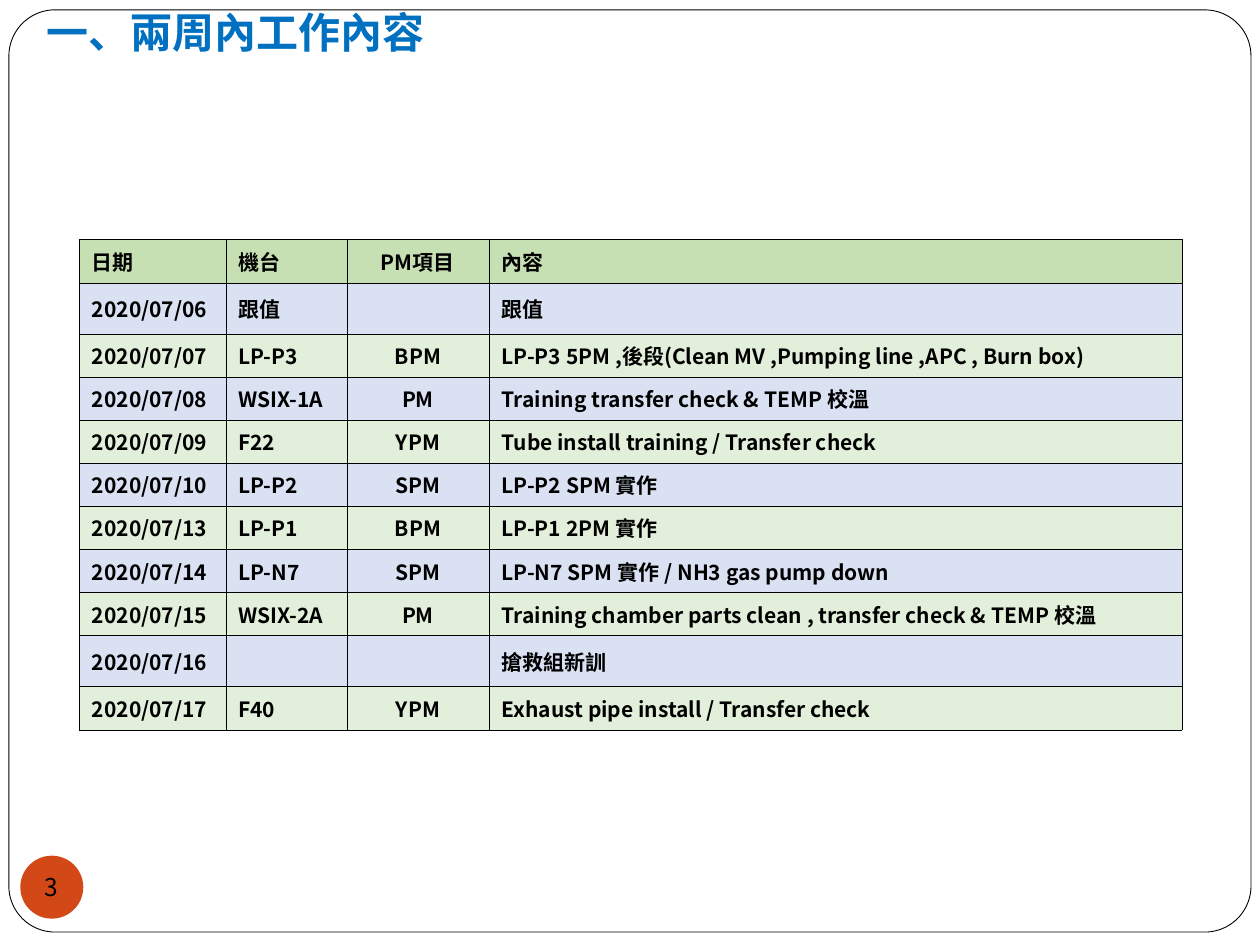
from typing import NamedTuple

from lxml.etree import SubElement
from pptx import Presentation
from pptx.dml.color import RGBColor
from pptx.enum.shapes import MSO_SHAPE
from pptx.enum.text import MSO_ANCHOR, PP_ALIGN
from pptx.oxml.ns import qn
from pptx.util import Cm, Pt

FONT = "Noto Sans CJK SC"
COLORS = {
    "ink": "000000",
    "paper": "FFFFFF",
    "title": "0070C0",
    "badge": "D34817",
    "header": "C6E0B4",
    "blue_row": "D9E1F2",
    "green_row": "E2EFDA",
}
COLUMN_WIDTHS = (2.95, 2.44, 2.87, 13.97)
ROW_HEIGHT = 0.86
CENTERED_COLUMN = 2


class WorkDay(NamedTuple):
    date: str
    machine: str
    maintenance: str
    content: str


class TextStyle(NamedTuple):
    size: int
    color: str = "ink"
    bold: bool = False


TITLE = TextStyle(24, "title", True)
CELL = TextStyle(12, bold=True)
NUMBER = TextStyle(14)

HEADER = WorkDay("日期", "機台", "PM項目", "內容")
WORK_DAYS = [
    WorkDay("2020/07/06", "跟值", "", "跟值"),
    WorkDay("2020/07/07", "LP-P3", "BPM", "LP-P3 5PM ,後段(Clean MV ,Pumping line ,APC , Burn box)"),
    WorkDay("2020/07/08", "WSIX-1A", "PM", "Training transfer check & TEMP 校溫"),
    WorkDay("2020/07/09", "F22", "YPM", "Tube install training / Transfer check"),
    WorkDay("2020/07/10", "LP-P2", "SPM", "LP-P2 SPM 實作"),
    WorkDay("2020/07/13", "LP-P1", "BPM", "LP-P1 2PM 實作"),
    WorkDay("2020/07/14", "LP-N7", "SPM", "LP-N7 SPM 實作 / NH3 gas pump down"),
    WorkDay("2020/07/15", "WSIX-2A", "PM", "Training chamber parts clean , transfer check & TEMP 校溫"),
    WorkDay("2020/07/16", "", "", "搶救組新訓"),
    WorkDay("2020/07/17", "F40", "YPM", "Exhaust pipe install / Transfer check"),
]


def rgb(name: str) -> RGBColor:
    return RGBColor.from_string(COLORS[name])


def write(paragraph, text: str, style: TextStyle, align=PP_ALIGN.LEFT) -> None:
    paragraph.alignment = align
    span = paragraph.add_run()
    span.text = text
    font_values = {"name": FONT, "size": Pt(style.size), "bold": style.bold}
    for attribute, value in font_values.items():
        setattr(span.font, attribute, value)
    span.font.color.rgb = rgb(style.color)
    SubElement(span.font._element, qn("a:ea"), typeface=FONT)


def add_filled_shape(page, kind, left: float, top: float, width: float, height: float, fill: str):
    shape = page.shapes.add_shape(kind, Cm(left), Cm(top), Cm(width), Cm(height))
    shape.shadow.inherit = False
    shape.fill.solid()
    shape.fill.fore_color.rgb = rgb(fill)
    shape.line.fill.background()
    return shape


def add_frame(page) -> None:
    frame = add_filled_shape(page, MSO_SHAPE.ROUNDED_RECTANGLE, 0.18, 0.2, 25.04, 18.59, "paper")
    frame.adjustments[0] = 0.05
    frame.line.color.rgb = rgb("ink")
    frame.line.width = Pt(0.5)


def add_page_number(page, number: str) -> None:
    badge = add_filled_shape(page, MSO_SHAPE.OVAL, 0.41, 17.25, 1.27, 1.27, "badge")
    frame_values = {
        "margin_left": 0,
        "margin_right": 0,
        "margin_top": 0,
        "margin_bottom": 0,
        "word_wrap": False,
        "vertical_anchor": MSO_ANCHOR.MIDDLE,
    }
    for attribute, value in frame_values.items():
        setattr(badge.text_frame, attribute, value)
    write(badge.text_frame.paragraphs[0], number, NUMBER, PP_ALIGN.CENTER)


def add_title(page, text: str) -> None:
    box = page.shapes.add_textbox(Cm(0.69), Cm(0), Cm(8.41), Cm(1.27))
    box.text_frame.word_wrap = True
    write(box.text_frame.paragraphs[0], text, TITLE)


def add_borders(cell) -> None:
    properties = cell._tc.get_or_add_tcPr()
    for side in ("lnL", "lnR", "lnT", "lnB"):
        line = SubElement(properties, qn(f"a:{side}"), w=str(Pt(0.23)))
        fill = SubElement(line, qn("a:solidFill"))
        SubElement(fill, qn("a:srgbClr"), val=COLORS["ink"])


def add_work_table(page) -> None:
    rows = [HEADER, *WORK_DAYS]
    table = page.shapes.add_table(
        len(rows), len(COLUMN_WIDTHS), Cm(1.6), Cm(4.83),
        Cm(sum(COLUMN_WIDTHS)), Cm(ROW_HEIGHT * len(rows)),
    ).table
    table.first_row = table.horz_banding = False
    for column, width in zip(table.columns, COLUMN_WIDTHS):
        column.width = Cm(width)
    for row_index, day in enumerate(rows):
        table.rows[row_index].height = Cm(ROW_HEIGHT)
        band = "blue_row" if row_index % 2 else "green_row"
        for column_index, text in enumerate(day):
            cell = table.cell(row_index, column_index)
            add_borders(cell)
            cell.fill.solid()
            cell.fill.fore_color.rgb = rgb(band if row_index else "header")
            cell.vertical_anchor = MSO_ANCHOR.MIDDLE
            if text:
                align = PP_ALIGN.CENTER if column_index == CENTERED_COLUMN else PP_ALIGN.LEFT
                write(cell.text_frame.paragraphs[0], text, CELL, align)


def main() -> None:
    deck = Presentation()
    deck.slide_width, deck.slide_height = Cm(25.4), Cm(19.05)
    page = deck.slides.add_slide(deck.slide_layouts[6])
    add_frame(page)
    add_page_number(page, "3")
    add_work_table(page)
    add_title(page, "一、兩周內工作內容")
    deck.save("out.pptx")


if __name__ == "__main__":
    main()
